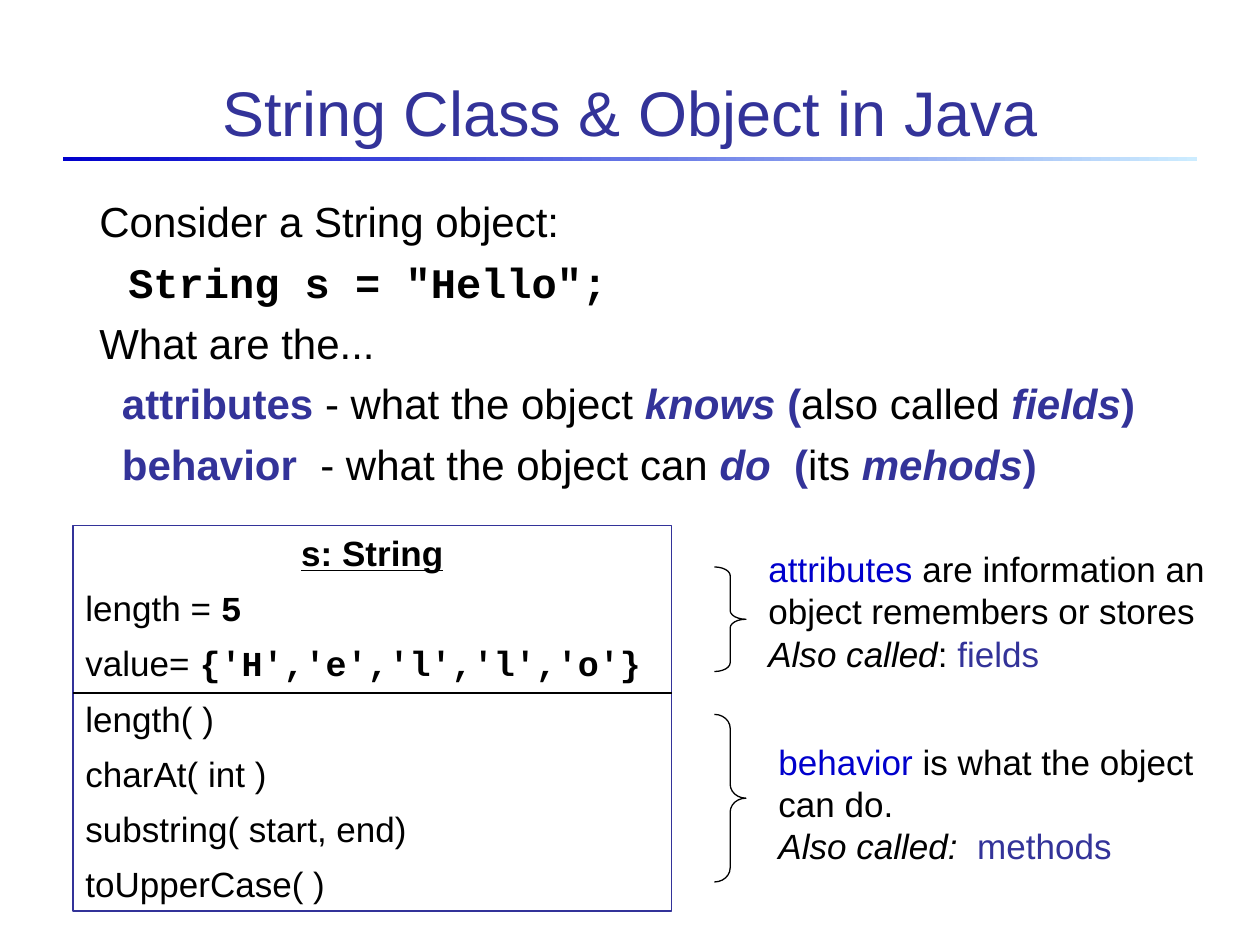
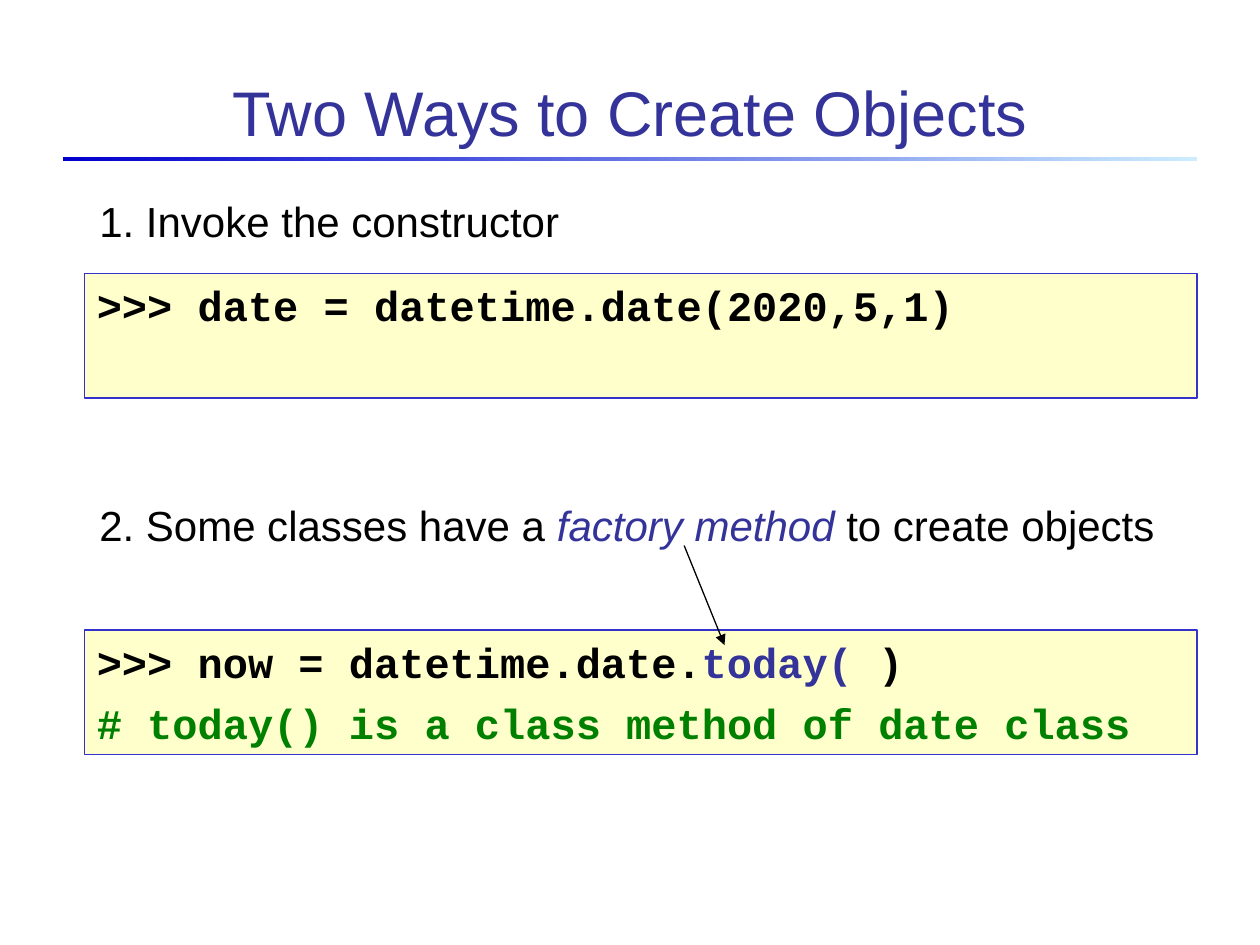
"""Build two slides on classes, objects and how to create them."""
from dataclasses import dataclass
from typing import Optional

from lxml.etree import SubElement
from pptx import Presentation
from pptx.dml.color import RGBColor
from pptx.enum.shapes import MSO_CONNECTOR as Connector, MSO_SHAPE as Preset
from pptx.enum.text import MSO_ANCHOR as Anchor, MSO_AUTO_SIZE as AutoSize, PP_ALIGN as Align
from pptx.oxml.ns import qn
from pptx.slide import Slide
from pptx.util import Inches, Pt

BLACK = RGBColor(0x00, 0x00, 0x00)
WHITE = RGBColor(0xFF, 0xFF, 0xFF)
INDIGO = RGBColor(0x33, 0x33, 0x99)
BLUE = RGBColor(0x00, 0x00, 0xCC)
PALE_BLUE = RGBColor(0xCC, 0xEC, 0xFF)
CODE_BORDER = RGBColor(0x33, 0x33, 0xCC)
CODE_FILL = RGBColor(0xFF, 0xFF, 0xCC)
GREEN = RGBColor(0x00, 0x80, 0x00)
SANS, MONO = "Arial", "Courier New"
LINE_WIDTH = Pt(0.75)
BODY_INDENT, ITEM_INDENT, CODE_INDENT = 0.02, 0.18, 0.25


@dataclass(frozen=True)
class Span:
    text: str
    color: RGBColor = BLACK
    bold: bool = False
    italic: bool = False
    underline: bool = False
    font: str = SANS
    tracking: float = 0
    break_before: bool = False


@dataclass(frozen=True)
class Para:
    spans: tuple[Span, ...]
    indent: float = 0
    align: Align = Align.LEFT
    gap: Optional[float] = None


@dataclass(frozen=True)
class Box:
    left: float
    top: float
    width: float
    height: float
    paras: tuple[Para, ...]
    size: float = 24
    gap: float = 6
    fill: Optional[RGBColor] = None
    border: Optional[RGBColor] = None


def strong(text: str, italic: bool = False) -> Span:
    """Return an emphasised indigo span."""
    return Span(text, INDIGO, bold=True, italic=italic)


def code(text: str, color: RGBColor = BLACK) -> Span:
    """Return a bold monospaced span."""
    return Span(text, color, bold=True, font=MONO)


def wide_space(tracking: float) -> Span:
    """Return a space widened by the given points."""
    return Span(" ", tracking=tracking)


def write_para(paragraph, para: Para, size: float, gap: float) -> None:
    """Write one paragraph with its spans and indent."""
    properties = paragraph._p.get_or_add_pPr()
    properties.set("marL", "0")
    properties.set("indent", str(Inches(para.indent)))
    paragraph.alignment = para.align
    paragraph.space_before = Pt(gap)
    for span in para.spans:
        if span.break_before:
            paragraph.add_line_break()
        run = paragraph.add_run()
        run.text = span.text
        font = run.font
        font.name, font.size = span.font, Pt(size)
        font.bold, font.italic, font.underline = span.bold, span.italic, span.underline
        font.color.rgb = span.color
        if span.tracking:
            run._r.get_or_add_rPr().set("spc", str(round(span.tracking * 100)))


def draw_box(slide: Slide, box: Box) -> None:
    """Draw a text box with optional fill and border."""
    shape = slide.shapes.add_textbox(*map(Inches, (box.left, box.top, box.width, box.height)))
    if box.fill is not None:
        shape.fill.solid()
        shape.fill.fore_color.rgb = box.fill
    if box.border is not None:
        shape.line.color.rgb = box.border
        shape.line.width = LINE_WIDTH
    frame = shape.text_frame
    frame.word_wrap = True
    for index, para in enumerate(box.paras):
        paragraph = frame.add_paragraph() if index else frame.paragraphs[0]
        gap = box.gap if para.gap is None else para.gap
        write_para(paragraph, para, box.size, gap if index else 0)


def draw_line(slide: Slide, start: tuple[float, float], end: tuple[float, float],
              arrow: bool = False) -> None:
    """Draw a thin black line, with an arrowhead on request."""
    line = slide.shapes.add_connector(Connector.STRAIGHT, *map(Inches, start + end))
    line.line.color.rgb = BLACK
    line.line.width = LINE_WIDTH
    properties = line.element.spPr
    if arrow:
        SubElement(properties.find(qn("a:ln")), qn("a:tailEnd"), type="triangle")
    SubElement(properties, qn("a:effectLst"))


def draw_brace(slide: Slide, top: float, height: float) -> None:
    """Draw a right brace whose curves scale with its height."""
    width = 0.25
    brace = slide.shapes.add_shape(Preset.RIGHT_BRACE, *map(Inches, (5.67, top, width, height)))
    brace.adjustments[0] = height / 12 / width
    brace.shadow.inherit = False
    brace.fill.background()
    brace.line.color.rgb = BLACK
    brace.line.width = LINE_WIDTH


def add_page(deck, title: str) -> Slide:
    """Add a slide with the shared title style and gradient rule."""
    page = deck.slides.add_slide(deck.slide_layouts[5])
    heading = page.shapes.title
    heading.left, heading.top, heading.width, heading.height = map(Inches, (0.67, 0.28, 8.66, 0.95))
    frame = heading.text_frame
    frame.text = title
    frame.auto_size = AutoSize.NONE
    frame.vertical_anchor = Anchor.BOTTOM
    paragraph = frame.paragraphs[0]
    paragraph.alignment = Align.CENTER
    font = paragraph.runs[0].font
    font.name, font.size, font.color.rgb = SANS, Pt(36), INDIGO

    rule = page.shapes.add_shape(Preset.RECTANGLE, *map(Inches, (0.5, 1.25, 9, 0.03)))
    rule.shadow.inherit = False
    rule.line.fill.background()
    rule.fill.gradient()
    rule.fill.gradient_angle = 0
    for stop, color in zip(rule.fill.gradient_stops, (BLUE, PALE_BLUE)):
        stop.color.rgb = color
    return page


def code_box(top: float, *paras: Para) -> Box:
    """Return a yellow code box at the given height."""
    return Box(0.67, top, 8.83, 0.99, paras, fill=CODE_FILL, border=CODE_BORDER)


def build_string_page(deck) -> None:
    """Build the slide on the String class."""
    page = add_page(deck, "String Class & Object in Java")
    draw_box(page, Box(0.67, 1.5, 8.66, 2.6, (
        Para((Span("Consider a String object:"),), BODY_INDENT),
        Para((code('String s = "Hello";'),), CODE_INDENT),
        Para((Span("What are the..."),), BODY_INDENT),
        Para((strong("attributes"), Span(" - what the object "), strong("knows ", True),
              strong("("), Span("also called"), strong(" fields", True), strong(")")),
             ITEM_INDENT + BODY_INDENT),
        Para((strong("behavior"), wide_space(6.67), Span("- what the object can "),
              strong("do", True), wide_space(6.67), strong("("), Span("its"),
              strong(" mehods", True), strong(")")), ITEM_INDENT + BODY_INDENT),
    )))
    methods = ("length( )", "charAt( int )", "substring( start, end)", "toUpperCase( )")
    draw_box(page, Box(0.58, 4.17, 4.75, 3.06, (
        Para((Span("s: String", bold=True, underline=True),), align=Align.CENTER),
        Para((Span("length = "), code("5"))),
        Para((Span("value= "), code("{'H','e','l','l','o'}"))),
        *(Para((Span(method),)) for method in methods),
    ), size=20, gap=7.5, border=INDIGO))
    draw_line(page, (0.58, 5.5), (5.33, 5.5))
    draw_box(page, Box(6, 4.3, 3.67, 1.1, (
        Para((Span("attributes", BLUE),
              Span(" are information an object remembers or stores "),
              Span("Also called", italic=True), Span(": "), Span("fields", INDIGO))),
    ), size=20, fill=WHITE))
    draw_box(page, Box(6.08, 5.83, 3.75, 1.1, (
        Para((Span("behavior", BLUE), Span(" is what the object can do."),
              Span("Also called:", italic=True, break_before=True),
              wide_space(5.56), Span("methods", INDIGO))),
    ), size=20, fill=WHITE))
    for top, height in ((4.5, 0.83), (5.67, 1.33)):
        draw_brace(page, top, height)


def build_creation_page(deck) -> None:
    """Build the slide on creating objects."""
    page = add_page(deck, "Two Ways to Create Objects")
    draw_box(page, Box(0.67, 1.5, 8.66, 3.7, (
        Para((Span("1. Invoke the constructor"),), BODY_INDENT),
        Para((Span("2. Some classes have a "), Span("factory method", INDIGO, italic=True),
              Span(" to create objects")), BODY_INDENT, gap=145),
    )))
    draw_box(page, code_box(2.17, Para((code(">>> date = datetime.date(2020,5,1)"),))))
    draw_box(page, code_box(
        5,
        Para((code(">>> now = datetime.date."), code("today(", INDIGO), code(" )"))),
        Para((code("# today() is a class method of date class", GREEN),)),
    ))
    draw_line(page, (5.43, 4.33), (5.75, 5.12), arrow=True)


def main() -> None:
    """Build and save the deck."""
    deck = Presentation()
    deck.slide_width, deck.slide_height = Inches(10), Inches(7.5)
    build_string_page(deck)
    build_creation_page(deck)
    deck.save("out.pptx")


if __name__ == "__main__":
    main()
